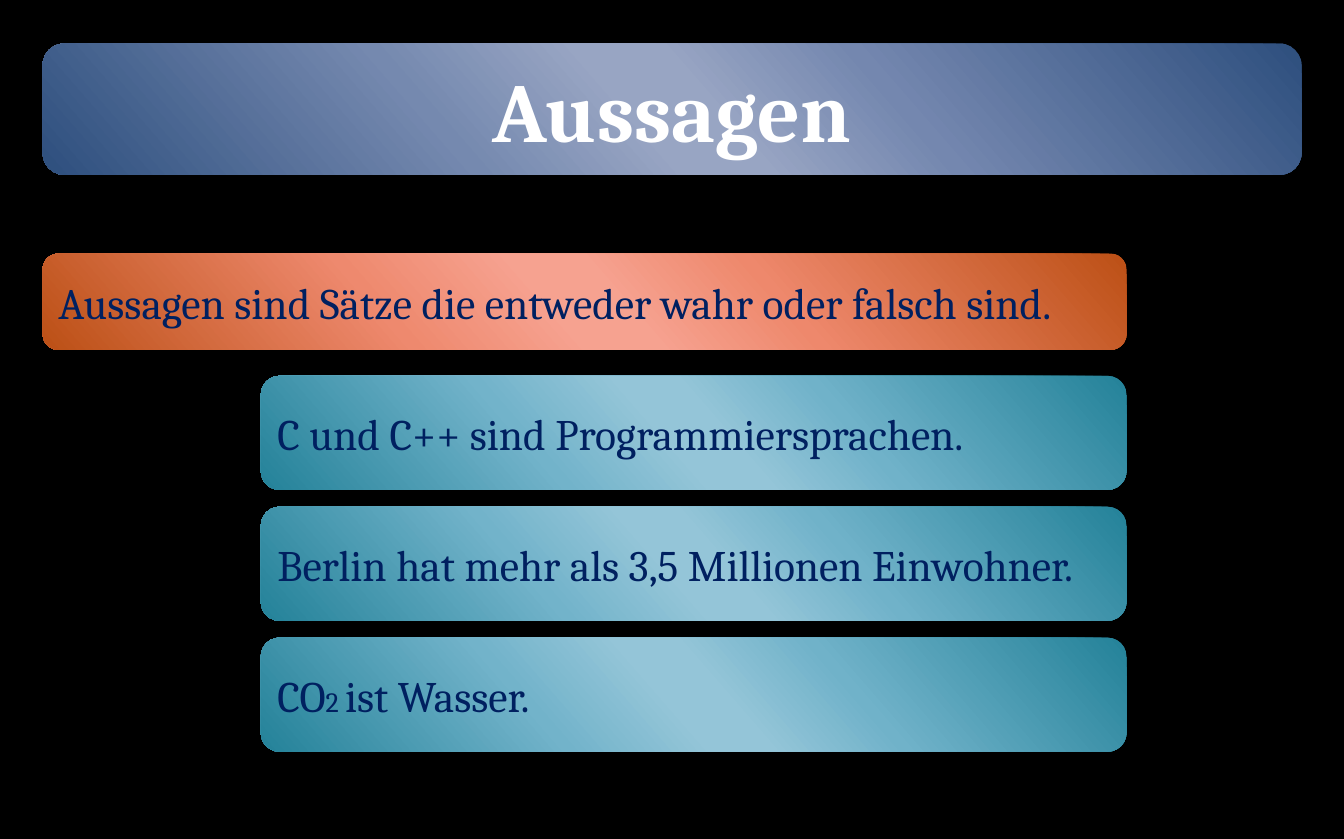
from lxml import etree
from pptx import Presentation
from pptx.dml.color import RGBColor
from pptx.enum import shapes, text
from pptx.oxml.ns import qn
from pptx.util import Pt

BLACK = RGBColor(0x00, 0x00, 0x00)
WHITE = RGBColor(0xFF, 0xFF, 0xFF)
NAVY = RGBColor(0x00, 0x20, 0x60)


def shades(*codes):
    return [RGBColor.from_string(code) for code in codes]


# Gradient colours, from the dark edge over the light middle and back
STOPS = (0, 33, 47, 53, 68, 100)
BLUE = shades("2E4F7E", "7487AF", "98A5C3", "98A5C3", "7589AF", "2E4F7E")
ORANGE = shades("BC5016", "EE886C", "F6A290", "F6A290", "EE896E", "BC5016")
TEAL = shades("248299", "70B2C9", "94C5D8", "94C5D8", "72B3CA", "248299")
ANGLE = 139
FONT = "Cambria"

LEFT = 27.4
INDENT = 167.8
RIGHT = 724.8
FIRST = 241.9
STEP = 84.25


def blend(shape, tones):
    """Fill a shape with a slanted gradient of several stops."""
    shape.fill.gradient()
    grad = shape._element.spPr.find(qn("a:gradFill"))
    for child in list(grad):
        grad.remove(child)
    stops = etree.SubElement(grad, qn("a:gsLst"))
    for place, tone in zip(STOPS, tones):
        stop = etree.SubElement(stops, qn("a:gs"), pos=str(place * 1000))
        etree.SubElement(stop, qn("a:srgbClr"), val=str(tone))
    etree.SubElement(grad, qn("a:lin"), ang=str(ANGLE * 60000), scaled="0")


def add_bar(slide, left, top, width, height, tones):
    bar = slide.shapes.add_shape(
        shapes.MSO_SHAPE.ROUNDED_RECTANGLE,
        Pt(left), Pt(top), Pt(width), Pt(height))
    bar.shadow.inherit = False
    bar.line.fill.background()
    blend(bar, tones)
    return bar


def write(bar, parts, color=NAVY, align=text.PP_ALIGN.LEFT, bold=False):
    """Write one paragraph of (wording, size) parts."""
    frame = bar.text_frame
    frame.word_wrap = True
    frame.vertical_anchor = text.MSO_ANCHOR.MIDDLE
    line = frame.paragraphs[0]
    line.alignment = align
    for words, size in parts:
        run = line.add_run()
        run.text = words
        run.font.name = FONT
        run.font.size = Pt(size)
        run.font.bold = bold
        run.font.color.rgb = color


def main():
    deck = Presentation()
    deck.slide_width, deck.slide_height = Pt(864.7), Pt(540)
    slide = deck.slides.add_slide(deck.slide_layouts[6])
    back = slide.background.fill
    back.solid()
    back.fore_color.rgb = BLACK

    # Title
    title = add_bar(slide, LEFT, 28, 810, 84.5, BLUE)
    write(title, [("Aussagen", 54)], WHITE, text.PP_ALIGN.CENTER, True)

    # Definition
    rule = add_bar(slide, LEFT, 163.2, RIGHT - LEFT, 62, ORANGE)
    write(rule, [("Aussagen sind Sätze die entweder wahr oder falsch sind.", 28)])

    # Examples
    samples = [
        [("C und C++ sind Programmiersprachen.", 28)],
        [("Berlin hat mehr als 3,5 Millionen Einwohner.", 28)],
        [("CO", 28), ("2 ", 18), ("ist Wasser.", 28)],
    ]
    for row, parts in enumerate(samples):
        bar = add_bar(slide, INDENT, FIRST + row * STEP,
                      RIGHT - INDENT, 73.4, TEAL)
        write(bar, parts)

    deck.save("out.pptx")


if __name__ == "__main__":
    main()
